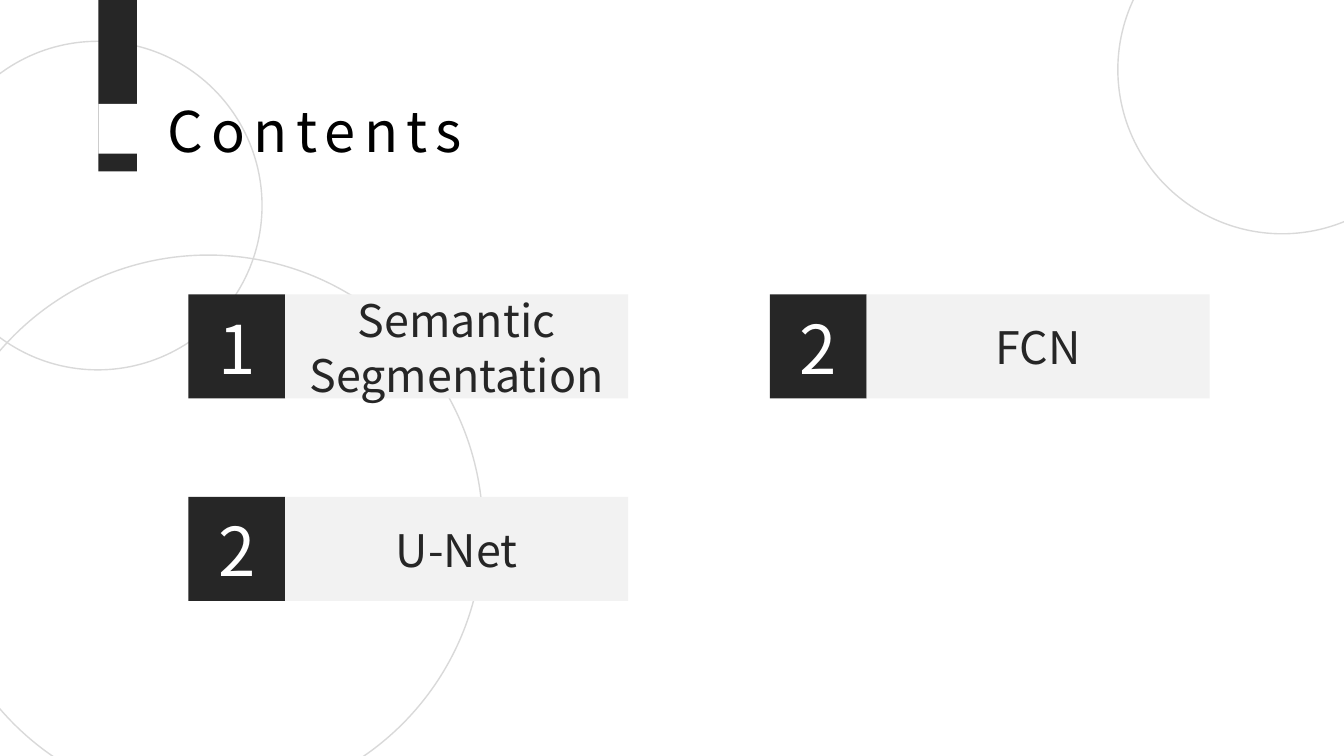
import pptx
import pptx.util
import pptx.dml.color
import pptx.enum.shapes
import pptx.enum.text

Pt = pptx.util.Pt
SHAPES = pptx.enum.shapes.MSO_SHAPE
ALIGN = pptx.enum.text.PP_ALIGN
ANCHOR = pptx.enum.text.MSO_ANCHOR

HEADING = "Contents"
TOPICS = [
    ("1", ["Semantic", "Segmentation"]),
    ("2", ["FCN"]),
    ("2", ["U-Net"]),
]
COLORS = {
    "dark": "262626",
    "light": "F2F2F2",
    "ring": "D9D9D9",
    "white": "FFFFFF",
    "black": "000000",
}
HEADING_FONT = "Noto Sans CJK SC"
TOPIC_FONT = "Noto Sans CJK JP"
LINE_RATIO = 1.22

RINGS = [(-47.5, 29.5, 234.7), (-47.5, 182.2, 392.4), (798.5, -67.7, 234.7)]
BAR_LEFT, BAR_WIDTH, BAR_HEIGHT = 70.3, 27.4, 122.4
GAP_TOP, GAP_HEIGHT = 74.2, 35.5
GRID_LEFT, GRID_TOP = 134.5, 210.2
COLUMN_STEP, ROW_STEP, COLUMNS = 415.4, 144.7, 2
NUMBER_WIDTH, LABEL_WIDTH, TOPIC_HEIGHT = 69.2, 245, 74.4


def color(name):
    return pptx.dml.color.RGBColor.from_string(COLORS[name])


def add_plain(slide, kind, box, fill=None, line=None):
    shape = slide.shapes.add_shape(kind, *[Pt(n) for n in box])
    shape.shadow.inherit = False
    if fill:
        shape.fill.solid()
        shape.fill.fore_color.rgb = color(fill)
    else:
        shape.fill.background()
    if line:
        shape.line.color.rgb = color(line)
        shape.line.width = Pt(1)
    else:
        shape.line.fill.background()
    return shape


def write(frame, lines, size, font, ink, align):
    for index, text in enumerate(lines):
        paragraph = frame.add_paragraph() if index else frame.paragraphs[0]
        paragraph.alignment = align
        paragraph.line_spacing = Pt(round(size * LINE_RATIO))
        run = paragraph.add_run()
        run.text = text
        run.font.size = Pt(size)
        run.font.name = font
        run.font.color.rgb = color(ink)


def add_block(slide, box, fill, lines, size, ink):
    block = add_plain(slide, SHAPES.RECTANGLE, box, fill)
    frame = block.text_frame
    frame.word_wrap = True
    frame.vertical_anchor = ANCHOR.MIDDLE
    write(frame, lines, size, TOPIC_FONT, ink, ALIGN.CENTER)


def add_heading(slide):
    heading = slide.shapes.title
    heading.left, heading.top = Pt(112.3), Pt(64.1)
    heading.width, heading.height = Pt(248.4), Pt(55.4)
    frame = heading.text_frame
    frame.word_wrap = False
    frame.auto_size = pptx.enum.text.MSO_AUTO_SIZE.SHAPE_TO_FIT_TEXT
    frame.vertical_anchor = ANCHOR.TOP
    write(frame, [HEADING], 40, HEADING_FONT, "black", ALIGN.LEFT)
    frame.paragraphs[0].runs[0].font._element.set("spc", "600")
    heading.element.getparent().append(heading.element)


def main():
    deck = pptx.Presentation()
    deck.slide_width, deck.slide_height = Pt(960), Pt(540)
    slide = deck.slides.add_slide(deck.slide_layouts.get_by_name("Title Only"))

    for left, top, diameter in RINGS:
        add_plain(slide, SHAPES.OVAL, (left, top, diameter, diameter), line="ring")
    add_plain(slide, SHAPES.RECTANGLE, (BAR_LEFT, 0, BAR_WIDTH, BAR_HEIGHT), "dark")
    add_heading(slide)
    add_plain(slide, SHAPES.RECTANGLE, (BAR_LEFT, GAP_TOP, BAR_WIDTH, GAP_HEIGHT), "white")

    for index, (number, label) in enumerate(TOPICS):
        row, column = divmod(index, COLUMNS)
        left = GRID_LEFT + column * COLUMN_STEP
        top = GRID_TOP + row * ROW_STEP
        add_block(slide, (left, top, NUMBER_WIDTH, TOPIC_HEIGHT),
                  "dark", [number], 48, "white")
        add_block(slide, (left + NUMBER_WIDTH, top, LABEL_WIDTH, TOPIC_HEIGHT),
                  "light", label, 32, "dark")

    deck.save("out.pptx")


if __name__ == "__main__":
    main()
